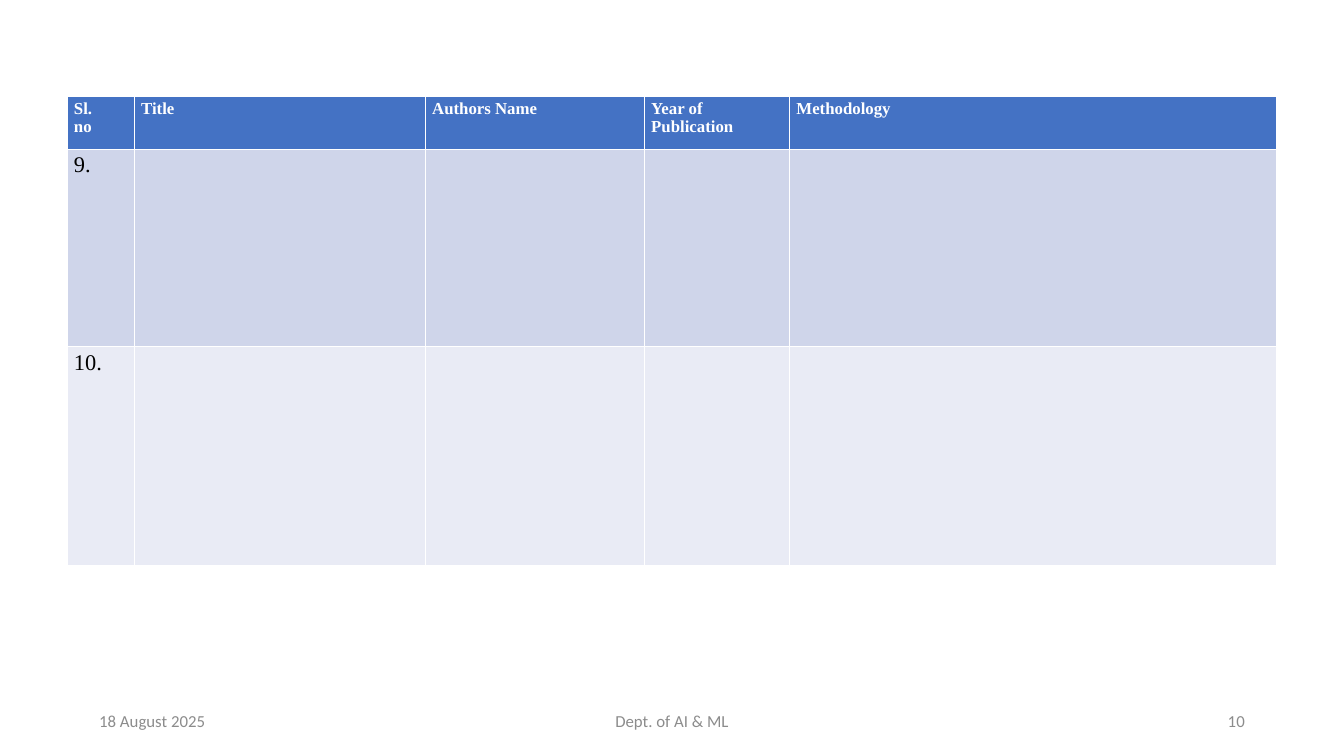
from pptx import Presentation
from pptx.dml.color import RGBColor
from pptx.enum.text import MSO_ANCHOR, PP_ALIGN
from pptx.util import Cm, Pt

WHITE = RGBColor(0xFF, 0xFF, 0xFF)
BLACK = RGBColor(0x00, 0x00, 0x00)
GREY = RGBColor(0x8C, 0x8C, 0x8C)
HEADER_BLUE = RGBColor(0x44, 0x72, 0xC4)
BAND_DARK = RGBColor(0xCF, 0xD5, 0xEA)
BAND_LIGHT = RGBColor(0xE9, 0xEB, 0xF5)

SLIDE_WIDTH, SLIDE_HEIGHT = 50.8, 28.58
COLUMN_WIDTHS = (2.54, 11, 8.28, 5.49, 18.41)
ROW_HEIGHTS = (2.01, 7.47, 8.26)
HEADINGS = ("Sl.\nno", "Title", "Authors Name", "Year of\nPublication", "Methodology")
PAPER_NUMBERS = ("9.", "10.")


def format_text(text_frame, font_name, size, color, alignment, bold=False):
    for paragraph in text_frame.paragraphs:
        paragraph.alignment = alignment
        for run in paragraph.runs:
            font = run.font
            font.name = font_name
            font.size = Pt(size)
            font.color.rgb = color
            font.bold = bold


def fill_cell(cell, color):
    cell.fill.solid()
    cell.fill.fore_color.rgb = color


def add_literature_table(slide, left, top):
    """The default table style supplies the white cell borders."""
    table = slide.shapes.add_table(
        len(ROW_HEIGHTS), len(COLUMN_WIDTHS), Cm(left), Cm(top),
        Cm(sum(COLUMN_WIDTHS)), Cm(sum(ROW_HEIGHTS))).table
    for column, width in zip(table.columns, COLUMN_WIDTHS):
        column.width = Cm(width)
    for row, height in zip(table.rows, ROW_HEIGHTS):
        row.height = Cm(height)

    for cell, heading in zip(table.rows[0].cells, HEADINGS):
        fill_cell(cell, HEADER_BLUE)
        cell.text_frame.text = heading
        format_text(cell.text_frame, "Times New Roman", 18, WHITE,
                    PP_ALIGN.JUSTIFY, bold=True)

    for index, number in enumerate(PAPER_NUMBERS, start=1):
        for cell in table.rows[index].cells:
            fill_cell(cell, BAND_DARK if index % 2 else BAND_LIGHT)
        number_frame = table.cell(index, 0).text_frame
        number_frame.text = number
        format_text(number_frame, "Times New Roman", 24, BLACK, PP_ALIGN.LEFT)


def add_footer(slide, left, top, width, height):
    """Date at the left, department in the centre, slide number at the right."""
    side_width, centre_width = 11.43, 17.15
    parts = (
        ("18 August 2025", 0, side_width, PP_ALIGN.LEFT),
        ("Dept. of AI & ML", (width - centre_width) / 2, centre_width, PP_ALIGN.CENTER),
        ("10", width - side_width, side_width, PP_ALIGN.RIGHT),
    )
    for text, offset, part_width, alignment in parts:
        box = slide.shapes.add_textbox(
            Cm(left + offset), Cm(top), Cm(part_width), Cm(height))
        text_frame = box.text_frame
        text_frame.word_wrap = True
        text_frame.vertical_anchor = MSO_ANCHOR.MIDDLE
        text_frame.text = text
        format_text(text_frame, "Calibri", 18, GREY, alignment)


def main():
    presentation = Presentation()
    presentation.slide_width = Cm(SLIDE_WIDTH)
    presentation.slide_height = Cm(SLIDE_HEIGHT)
    slide = presentation.slides.add_slide(presentation.slide_layouts[6])
    add_literature_table(slide, left=2.54, top=3.63)
    add_footer(slide, left=3.5, top=26.49, width=SLIDE_WIDTH - 2 * 3.5, height=1.52)
    presentation.save("out.pptx")


if __name__ == "__main__":
    main()
